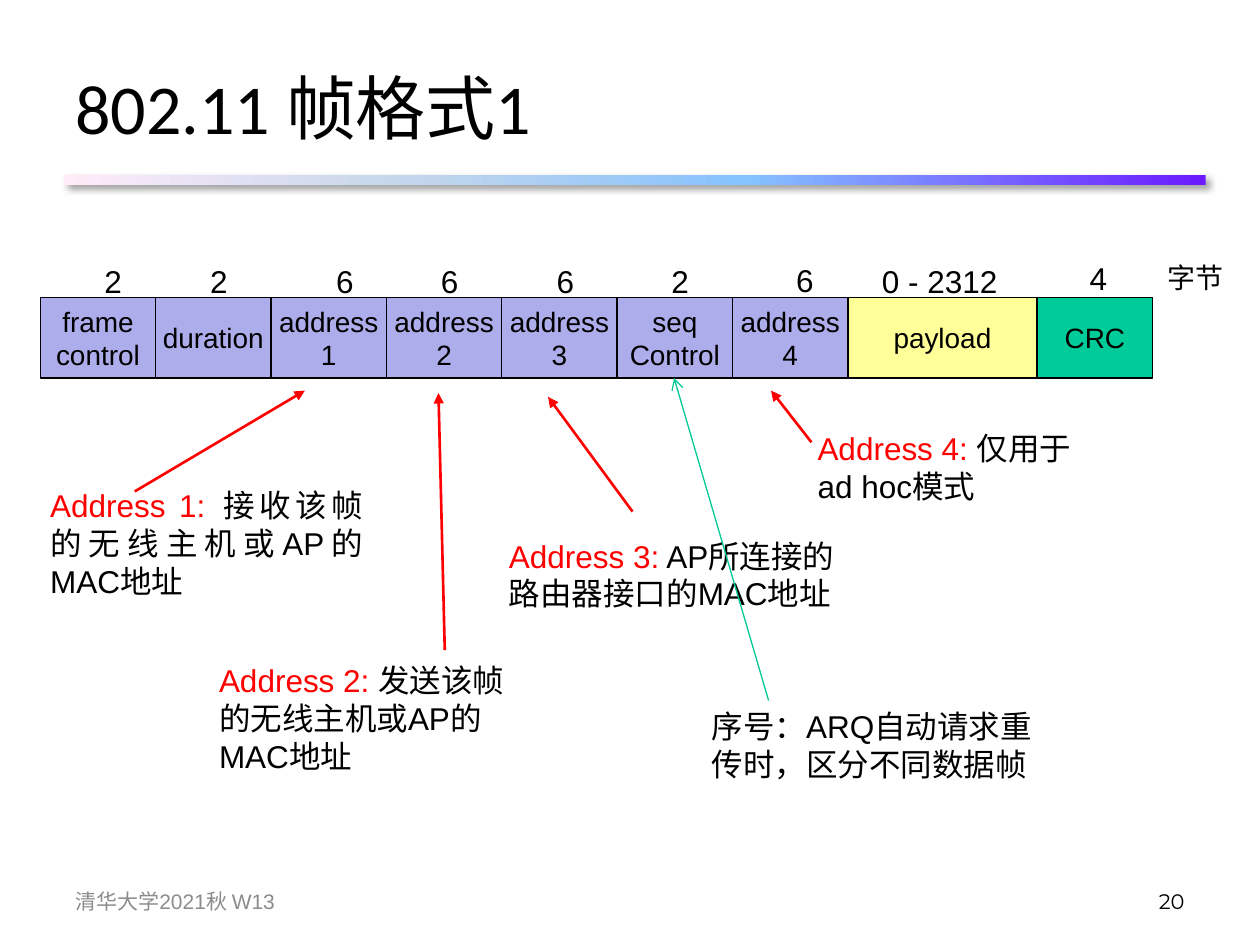
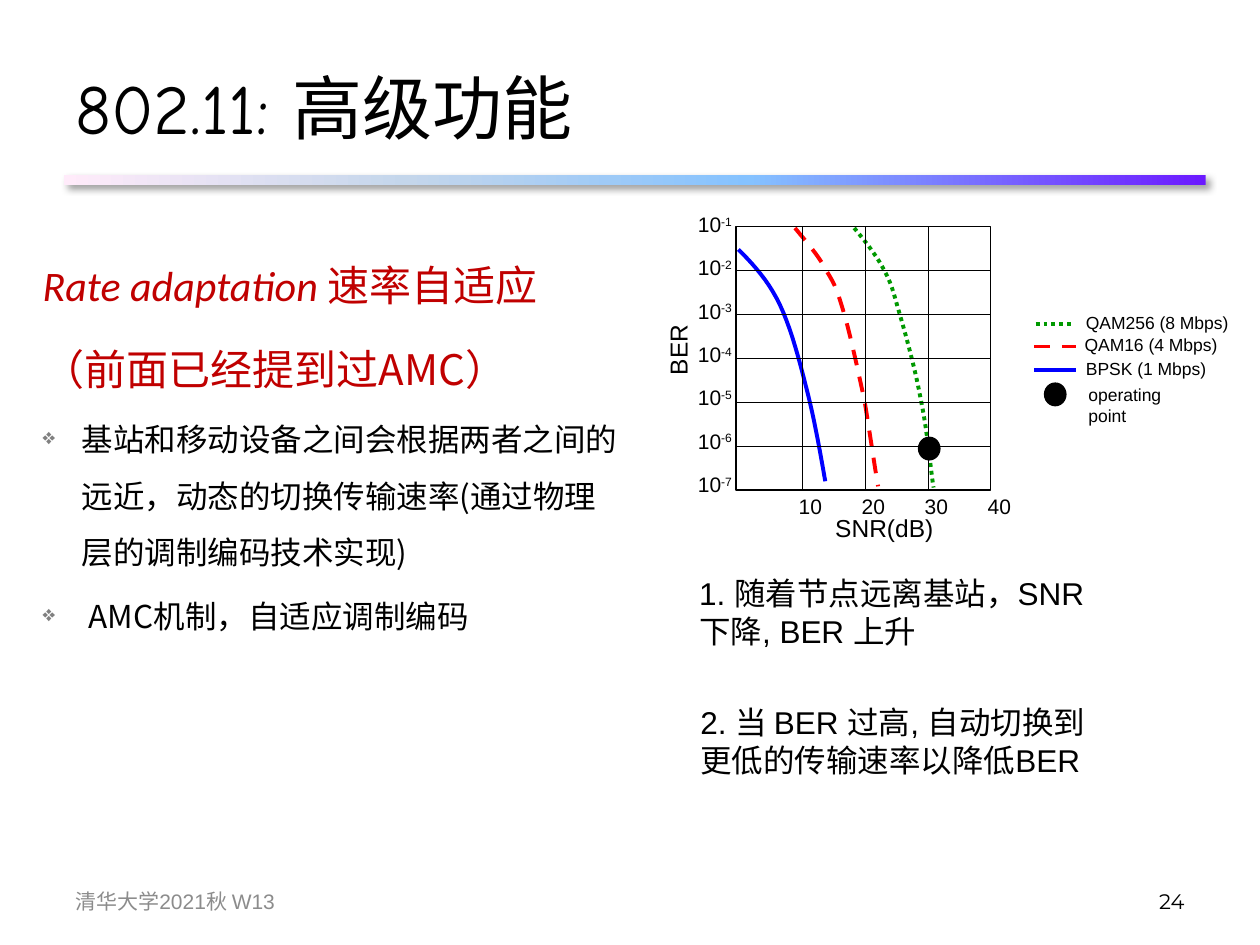
from pptx import Presentation
from pptx.dml.color import RGBColor
from pptx.enum.dml import MSO_LINE
from pptx.enum.shapes import MSO_CONNECTOR, MSO_SHAPE
from pptx.enum.text import MSO_ANCHOR, PP_ALIGN
from pptx.oxml import parse_xml
from pptx.oxml.ns import nsdecls, qn
from pptx.util import Pt
from lxml.etree import SubElement

PX = 9144  # 100 px to the inch
CJK = "Noto Sans CJK SC"
COLORS = {
    "black": "000000", "grey": "8C8C8C", "bullet": "808080", "red": "FF0000",
    "crimson": "C00000", "blue": "0000FF", "green": "009900", "teal": "00C896",
    "header": "ADADEB", "payload": "FFFF99", "crc": "00CC99",
}
BAND_STOPS = [(0, "6B19FF"), (40, "85C2FF"), (70, "C4D6EB"), (100, "FFEBFA")]
FOOTER = "清华大学2021秋 W13"

# Frame format slide
HEADER_FIELDS = ["frame\ncontrol", "duration", "address\n1", "address\n2",
                 "address\n3", "seq\nControl", "address\n4"]
HEADER_LEFT, PAYLOAD_LEFT, CRC_LEFT, FRAME_RIGHT = 32, 673, 823, 915
FRAME_TOP, FRAME_HEIGHT = 236, 64
BYTE_COUNTS = [  # text, left, top, width
    ("2", 73, 203, 34), ("2", 157, 203, 34), ("6", 257, 203, 34),
    ("6", 340, 203, 34), ("6", 432, 203, 34), ("2", 523, 203, 34),
    ("6", 622, 202, 34), ("0 - 2312", 690, 203, 112), ("4", 855, 201, 34),
]
NOTES = [  # box, red lead, text, alignment
    ((164, 520, 264, 101), "Address 2: ", "发送该帧的无线主机或AP的MAC地址", "left"),
    ((30, 381, 268, 101), "Address 1: ", "接收该帧的无线主机或AP的MAC地址", "justify"),
    ((394, 421, 296, 71), "Address 3:", " AP所连接的路由器接口的MAC地址", "left"),
    ((639, 336, 233, 70), "Address 4: ", "仅用于 ad hoc模式", "left"),
    ((555, 556, 283, 71), "", "序号：ARQ自动请求重传时，区分不同数据帧", "left"),
]
ADDRESS_ARROWS = [((107, 390), (242, 310)), ((353, 516), (348, 312)),
                  ((502, 406), (435, 315)), ((644, 351), (612, 310))]
SEQ_ARROW = ((610, 556), (535, 300))

# Advanced functions slide
RATE_HEADINGS = [
    [("Rate adaptation ", {"font": "Calibri", "italic": True}), ("速率自适应", {})],
    [("（前面已经提到过AMC）", {})],
]
RATE_BULLETS = [
    "基站和移动设备之间会根据两者之间的远近，动态的切换传输速率(通过物理层的调制编码技术实现)",
    " AMC机制，自适应调制编码",
]
PLOT_LEFT, PLOT_TOP, PLOT_RIGHT, PLOT_BOTTOM = 584, 180, 786, 389
SNR_TICKS = [10, 20, 30, 40]
BER_EXPONENTS = range(-1, -8, -1)
CURVES = [  # start, then Bezier segments
    ("blue", None, (586, 198), [
        ((598, 210), (610, 223), (619, 242)), ((628, 261), (635, 288), (641, 312)),
        ((647, 335), (653, 371), (655, 382))]),
    ("red", MSO_LINE.DASH, (631, 181), [
        ((640, 192), (650, 203), (656, 215)), ((663, 226), (665, 232), (670, 249)),
        ((675, 266), (681, 294), (686, 317)), ((690, 340), (693, 363), (697, 386))]),
    ("green", MSO_LINE.ROUND_DOT, (678, 181), [
        ((687, 192), (696, 203), (702, 215)), ((708, 226), (709, 232), (714, 249)),
        ((719, 266), (727, 295), (731, 318)), ((736, 341), (739, 376), (741, 387))]),
]
LEGEND = [  # colour, dash, line ends, line y, label, label left, label top, label width
    ("blue", None, 821, 854, 294, "BPSK (1 Mbps)", 852, 279, 115),
    ("red", MSO_LINE.DASH, 821, 854, 275, "QAM16 (4 Mbps)", 851, 260, 126),
    ("green", MSO_LINE.ROUND_DOT, 822, 852, 257, "QAM256 (8 Mbps)", 852, 243, 133),
]
OPERATING_POINTS = [(729, 347), (829, 304)]
REMARKS = [
    ("1. 随着节点远离基站，SNR 下降, BER 上升", 545, 451),
    ("2. 当 BER 过高, 自动切换到更低的传输速率以降低BER", 546, 553),
]
ALIGN = {"left": PP_ALIGN.LEFT, "center": PP_ALIGN.CENTER,
         "right": PP_ALIGN.RIGHT, "justify": PP_ALIGN.JUSTIFY}


def rgb(color):
    return RGBColor.from_string(COLORS[color])


def emu(*lengths):
    return [round(v * PX) for v in lengths]


def add_run(p, text, size=18, font="Arial", color="black", italic=False, raised=False):
    r = p.add_run()
    r.text = text
    r.font.size, r.font.name, r.font.italic = Pt(size), font, italic
    r.font.color.rgb = rgb(color)
    rPr = r._r.get_or_add_rPr()
    SubElement(rPr, qn("a:ea")).set("typeface", CJK)
    if raised:
        rPr.set("baseline", "30000")


def write(tf, content, align="left", anchor=MSO_ANCHOR.TOP, wrap=True, **fmt):
    """Fill a frame from a string or a list of paragraphs, each a list of (text, format) runs."""
    tf.word_wrap, tf.vertical_anchor = wrap, anchor
    if isinstance(content, str):
        content = [[(line, {})] for line in content.split("\n")]
    for i, runs in enumerate(content):
        p = tf.add_paragraph() if i else tf.paragraphs[0]
        p.alignment = ALIGN[align]
        for text, own in runs:
            add_run(p, text, **{**fmt, **own})


def add_text(s, box, content, **fmt):
    tb = s.shapes.add_textbox(*emu(*box))
    write(tb.text_frame, content, **fmt)
    return tb


def set_line(shape, color, width, dash=None):
    shape.line.color.rgb = rgb(color)
    shape.line.width = Pt(width)
    if dash:
        shape.line.dash_style = dash


def add_box(s, box, fill=None, kind=MSO_SHAPE.RECTANGLE):
    sp = s.shapes.add_shape(kind, *emu(*box))
    sp.shadow.inherit = False
    if fill:
        sp.fill.solid()
        sp.fill.fore_color.rgb = rgb(fill)
    else:
        sp.fill.background()
    set_line(sp, "black", 0.75)
    return sp


def add_line(s, start, end, color="black", width=0.75, dash=None, head=None):
    ln = s.shapes.add_connector(MSO_CONNECTOR.STRAIGHT, *emu(*start, *end))
    set_line(ln, color, width, dash)
    if head:
        SubElement(ln.line._get_or_add_ln(), qn("a:tailEnd")).set("type", head)
    SubElement(ln._element.spPr, qn("a:effectLst"))


def add_curve(s, color, dash, start, segments, steps=10):
    points = [start]
    for c1, c2, end in segments:
        origin = points[-1]
        for t in (k / steps for k in range(1, steps + 1)):
            u = 1 - t
            points.append(tuple(
                u**3 * a + 3 * u * u * t * b + 3 * u * t * t * c + t**3 * d
                for a, b, c, d in zip(origin, c1, c2, end)))
    builder = s.shapes.build_freeform(*emu(*start))
    builder.add_line_segments([emu(*pt) for pt in points[1:]], close=False)
    sp = builder.convert_to_shape()
    sp.shadow.inherit = False
    sp.fill.background()
    set_line(sp, color, 2.25, dash)


def add_band(s):
    sp = add_box(s, (51, 139, 906, 8))
    sp.line.fill.background()
    spPr = sp._element.spPr
    stops = "".join(f'<a:gs pos="{pos * 1000}"><a:srgbClr val="{c}"/></a:gs>'
                    for pos, c in BAND_STOPS)
    spPr.replace(spPr.find(qn("a:noFill")), parse_xml(
        f'<a:gradFill {nsdecls("a")}><a:gsLst>{stops}</a:gsLst>'
        '<a:lin ang="10800000" scaled="0"/></a:gradFill>'))
    spPr.find(qn("a:effectLst")).append(parse_xml(
        f'<a:outerShdw {nsdecls("a")} blurRad="{Pt(4)}" dist="{Pt(3)}" dir="2700000" '
        'rotWithShape="0"><a:srgbClr val="000000"><a:alpha val="40000"/>'
        '</a:srgbClr></a:outerShdw>'))


def add_base(prs, title, number, title_font):
    """Add a slide with the shared band, title and footer."""
    s = prs.slides.add_slide(prs.slide_layouts[6])
    add_band(s)
    middle = MSO_ANCHOR.MIDDLE
    add_text(s, (50, 30, 900, 109), title, size=40, font=title_font, anchor=middle)
    add_text(s, (50, 695, 233, 40), FOOTER, size=12, color="grey", anchor=middle)
    add_text(s, (717, 695, 233, 40), str(number), size=12, font="Montserrat",
             align="right", anchor=middle)
    return s


def build_frame_format(prs):
    s = add_base(prs, "802.11 帧格式1", 20, "Calibri")
    count = len(HEADER_FIELDS)
    step = (PAYLOAD_LEFT - HEADER_LEFT) / count
    edges = [HEADER_LEFT + i * step for i in range(count)]
    edges += [PAYLOAD_LEFT, CRC_LEFT, FRAME_RIGHT]
    fields = [(name, "header") for name in HEADER_FIELDS]
    fields += [("payload", "payload"), ("CRC", "crc")]
    for (name, fill), left, right in zip(fields, edges, edges[1:]):
        sp = add_box(s, (left, FRAME_TOP, right - left, FRAME_HEIGHT), fill)
        write(sp.text_frame, name, size=16, align="center",
              anchor=MSO_ANCHOR.MIDDLE, wrap=False)
    for text, left, top, width in BYTE_COUNTS:
        add_text(s, (left, top, width, 40), text, wrap=False)
    add_text(s, (917, 202, 83, 37), "字节", size=16)
    for start, end in ADDRESS_ARROWS:
        add_line(s, start, end, "red", 1.5, head="triangle")
    for box, lead, text, align in NOTES:
        runs = [(lead, {"color": "red"})] if lead else []
        add_text(s, box, [runs + [(text, {})]], align=align)
    add_line(s, *SEQ_ARROW, "teal", head="arrow")


def add_rate_text(s):
    heading = {"size": 24, "color": "crimson"}
    content = [[(t, {**heading, **own}) for t, own in runs] for runs in RATE_HEADINGS]
    content += [[(text, {})] for text in RATE_BULLETS]
    tb = add_text(s, (-26, 181, 534, 508), content, font=CJK)
    for i, p in enumerate(tb.text_frame.paragraphs):
        p.line_spacing = 1.5
        p.space_before = Pt(round(p.runs[0].font.size.pt * 0.2))
        pPr = p._p.get_or_add_pPr()
        pPr.set("marL", str(81 * PX))
        pPr.set("indent", str(-31 * PX))
        if i >= len(RATE_HEADINGS):
            color = SubElement(pPr, qn("a:buClr"))
            SubElement(color, qn("a:srgbClr")).set("val", COLORS["bullet"])
            SubElement(pPr, qn("a:buSzPct")).set("val", "70000")
            SubElement(pPr, qn("a:buChar")).set("char", "❖")


def add_ber_plot(s):
    for curve in CURVES:
        add_curve(s, *curve)
    add_box(s, (PLOT_LEFT, PLOT_TOP, PLOT_RIGHT - PLOT_LEFT, PLOT_BOTTOM - PLOT_TOP))
    rows = len(BER_EXPONENTS) - 1
    row_step = (PLOT_BOTTOM - PLOT_TOP) / rows
    for i, exponent in enumerate(BER_EXPONENTS):
        y = PLOT_TOP + i * row_step
        if 0 < i < rows:
            add_line(s, (PLOT_LEFT, y), (PLOT_RIGHT, y))
        add_text(s, (544, 163 + 34.4 * i, 48, 30),
                 [[("10", {}), (str(exponent), {"raised": True})]], size=12, wrap=False)
    for i, snr in enumerate(SNR_TICKS):
        x = 637 + 50 * i
        if snr < SNR_TICKS[-1]:
            add_line(s, (x, PLOT_TOP), (x, PLOT_BOTTOM))
        add_text(s, (x - 13, 387, 39, 30), str(snr), size=12, wrap=False)
    add_text(s, (653, 402, 98, 33), "SNR(dB)", size=14, wrap=False)
    add_text(s, (508, 261, 60, 33), "BER", size=14, wrap=False).rotation = 270


def add_legend(s):
    for color, dash, x1, x2, y, label, left, top, width in LEGEND:
        add_line(s, (x1, y), (x2, y), color, 2.25, dash)
        add_text(s, (left, top, width, 27), label, size=10, wrap=False)
    for left, top in OPERATING_POINTS:
        add_box(s, (left, top, 17, 18), "black", MSO_SHAPE.OVAL)
    add_text(s, (854, 300, 111, 27), "operating point", size=10, wrap=False)


def build_advanced_functions(prs):
    s = add_base(prs, "802.11: 高级功能", 24, "Comic Neue")
    add_rate_text(s)
    add_ber_plot(s)
    add_legend(s)
    for text, left, top in REMARKS:
        add_text(s, (left, top, 350, 71), text)


def main():
    prs = Presentation()
    prs.slide_width, prs.slide_height = emu(1000, 750)
    build_frame_format(prs)
    build_advanced_functions(prs)
    prs.save("out.pptx")


if __name__ == "__main__":
    main()
